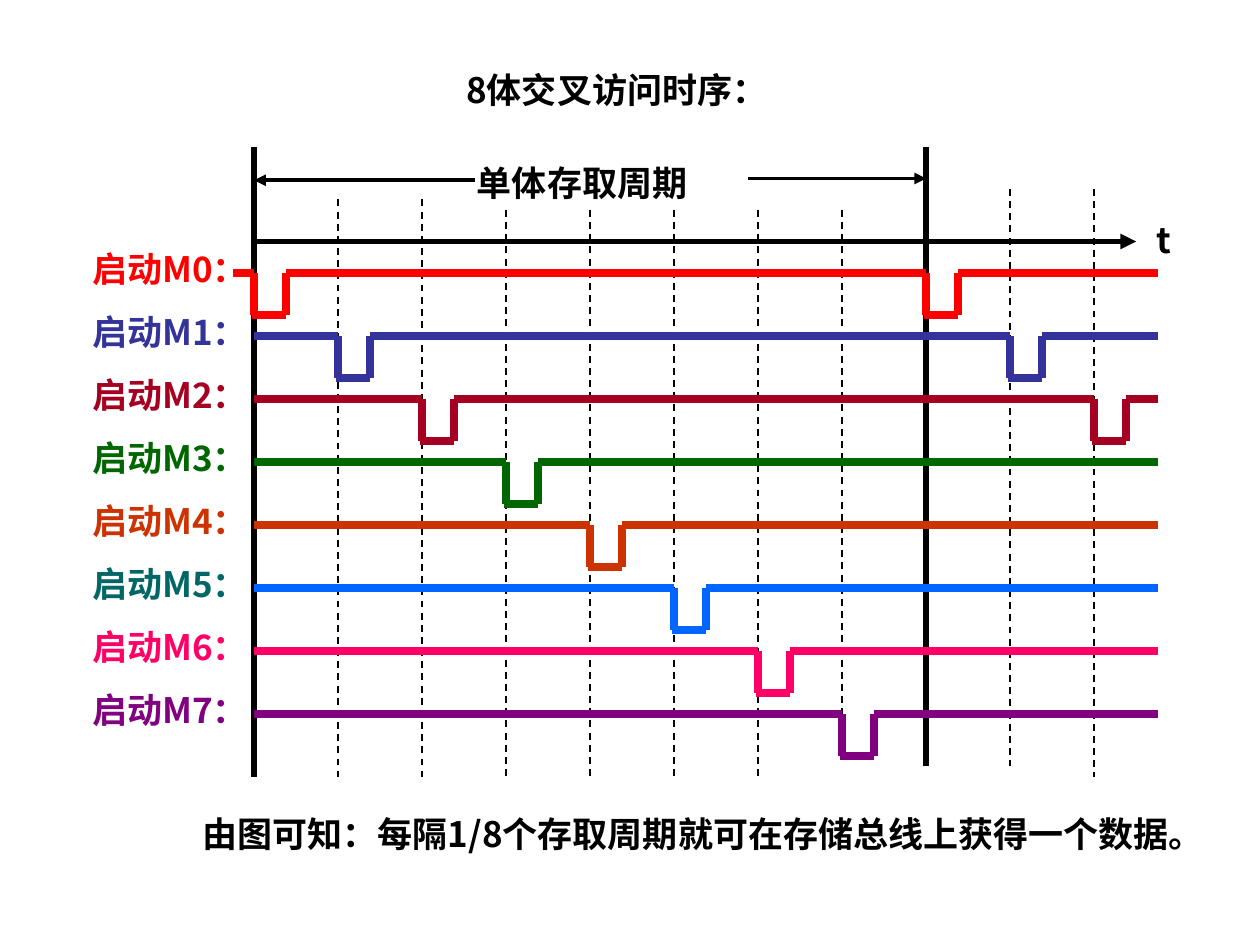
"""Builds a timing diagram slide for eight-way interleaved memory access."""
from lxml.etree import SubElement
from pptx import Presentation
from pptx.dml.color import RGBColor
from pptx.enum.dml import MSO_LINE
from pptx.enum.shapes import MSO_CONNECTOR
from pptx.enum.text import MSO_ANCHOR, PP_ALIGN
from pptx.oxml.ns import qn
from pptx.util import Pt

FONT = "Noto Sans CJK SC"


def write(frame, text, colors=("000000",), align=PP_ALIGN.LEFT, spacing=None, wrap=False):
    frame.word_wrap = wrap
    frame.text = text
    for paragraph, color in zip(frame.paragraphs, colors):
        paragraph.alignment = align
        if spacing:
            paragraph.line_spacing = Pt(spacing)
        for run in paragraph.runs:
            run.font.name = FONT
            run.font.size = Pt(20)
            run.font.bold = True
            run.font.color.rgb = RGBColor.from_string(color)
            SubElement(run.font._element, qn("a:ea"), typeface=FONT)


def draw(x1, y1, x2, y2, color="000000", width=3, dashed=False, arrow=False):
    line = slide.shapes.add_connector(MSO_CONNECTOR.STRAIGHT, Pt(x1), Pt(y1), Pt(x2), Pt(y2))
    line.line.color.rgb = RGBColor.from_string(color)
    line.line.width = Pt(width)
    if dashed:
        line.line.dash_style = MSO_LINE.DASH
    if arrow:
        SubElement(line.line._get_or_add_ln(), qn("a:tailEnd"), type="triangle")
    SubElement(line._element.spPr, qn("a:effectLst"))


presentation = Presentation()
presentation.slide_width, presentation.slide_height = Pt(720), Pt(540)
slide = presentation.slides.add_slide(presentation.slide_layouts[5])

title = slide.shapes.title
title.left, title.top, title.width, title.height = Pt(109.5), Pt(30), Pt(486), Pt(42)
title.text_frame.vertical_anchor = MSO_ANCHOR.MIDDLE
write(title.text_frame, "8体交叉访问时序：", align=PP_ALIGN.CENTER)

start, step, units = 145.2, 48, 8
period_end = start + units * step
wave_end = 661.5

label_colors = ["FF0000", "333399", "A50021", "006600", "CC3300", "006666", "FF0066", "800080"]
labels = slide.shapes.add_textbox(Pt(45.5), Pt(126), Pt(114.5), Pt(295))
write(labels.text_frame, "\n".join(f"启动M{unit}：" for unit in range(units)), label_colors, spacing=36)

draw(start, 84, start, 444)
draw(period_end, 84, period_end, 438)
tick_tops = {1: 114, 2: 114, 9: 108, 10: 108}
tick_bottoms = {7: 420, 9: 438}
for tick in (1, 2, 3, 4, 5, 6, 7, 9, 10):
    x = start + tick * step
    draw(x, tick_tops.get(tick, 120), x, tick_bottoms.get(tick, 444), width=1, dashed=True)

draw(start, 138, 649.2, 138, arrow=True)
time_label = slide.shapes.add_textbox(Pt(654), Pt(121), Pt(23), Pt(31.5))
write(time_label.text_frame, "t", spacing=24.5)

pulse_width, pulse_depth, row_step = 18, 24, 36
wave_colors = label_colors[:5] + ["0066FF"] + label_colors[6:]
for unit, color in enumerate(wave_colors):
    high = 156 + unit * row_step
    low = high + pulse_depth
    level_start = start if unit else 133.2
    for slot in (unit, unit + units):
        fall = start + slot * step
        rise = fall + pulse_width
        if rise > wave_end:
            continue
        for ends in ((level_start, high, fall, high), (fall, high, fall, low),
                     (fall - 1.2, low, rise, low), (rise, high, rise, low)):
            draw(*ends, color, 4.5)
        level_start = rise
    draw(level_start, high, wave_end, high, color, 4.5)

period_label = slide.shapes.add_textbox(Pt(265.5), Pt(88), Pt(160.5), Pt(31.5))
write(period_label.text_frame, "单体存取周期", spacing=24.5, wrap=True)
draw(427.5, 102, period_end, 102, width=2.25, arrow=True)
draw(271.5, 103, start, 103, width=2.25, arrow=True)

conclusion = slide.shapes.add_textbox(Pt(108.5), Pt(460), Pt(580), Pt(56))
write(conclusion.text_frame, "由图可知：每隔1/8个存取周期就可在存储总线上获得一个数据。", spacing=24.5, wrap=True)

presentation.save("out.pptx")
